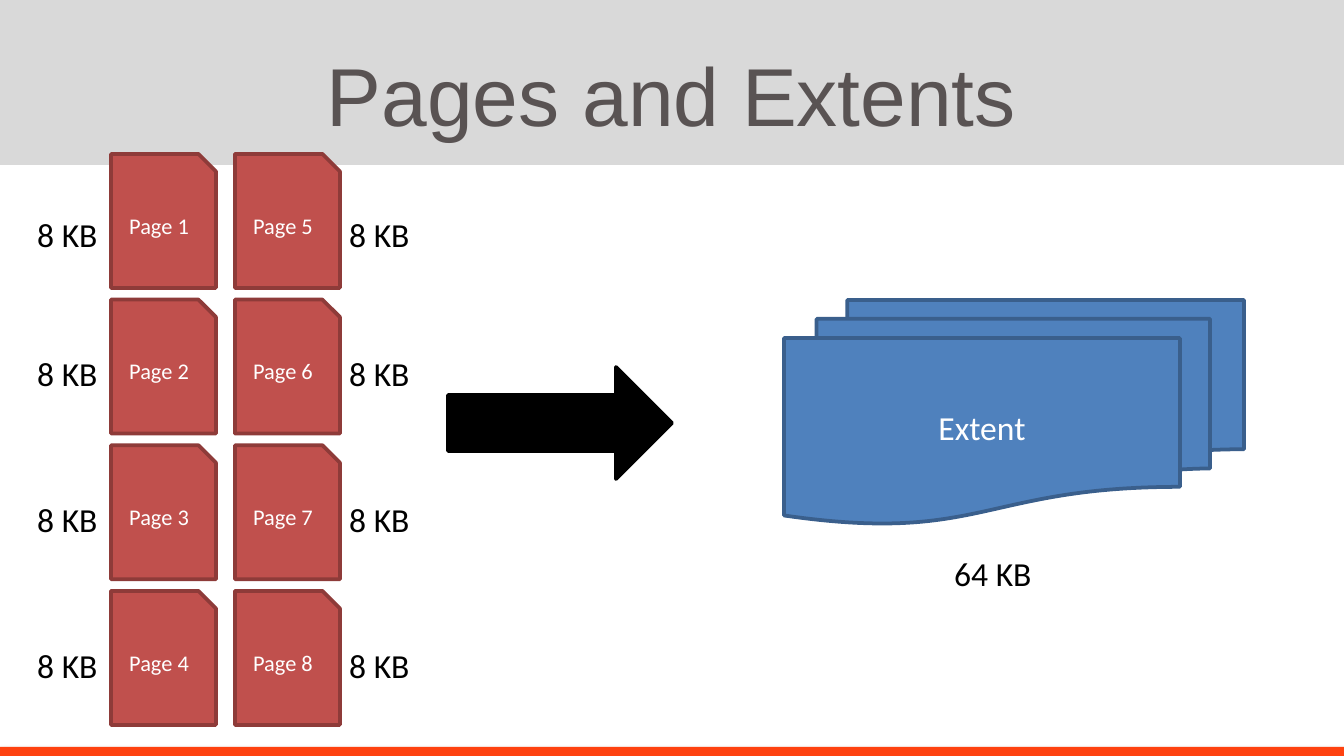
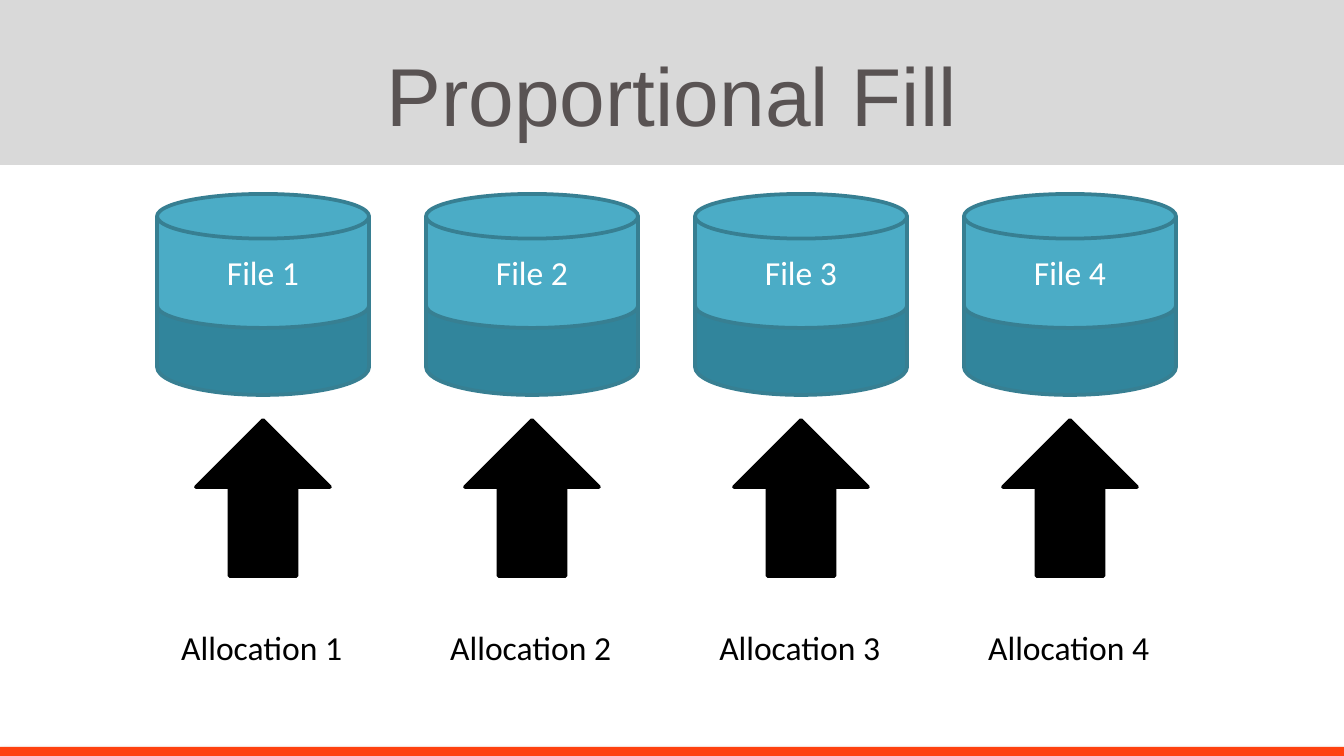
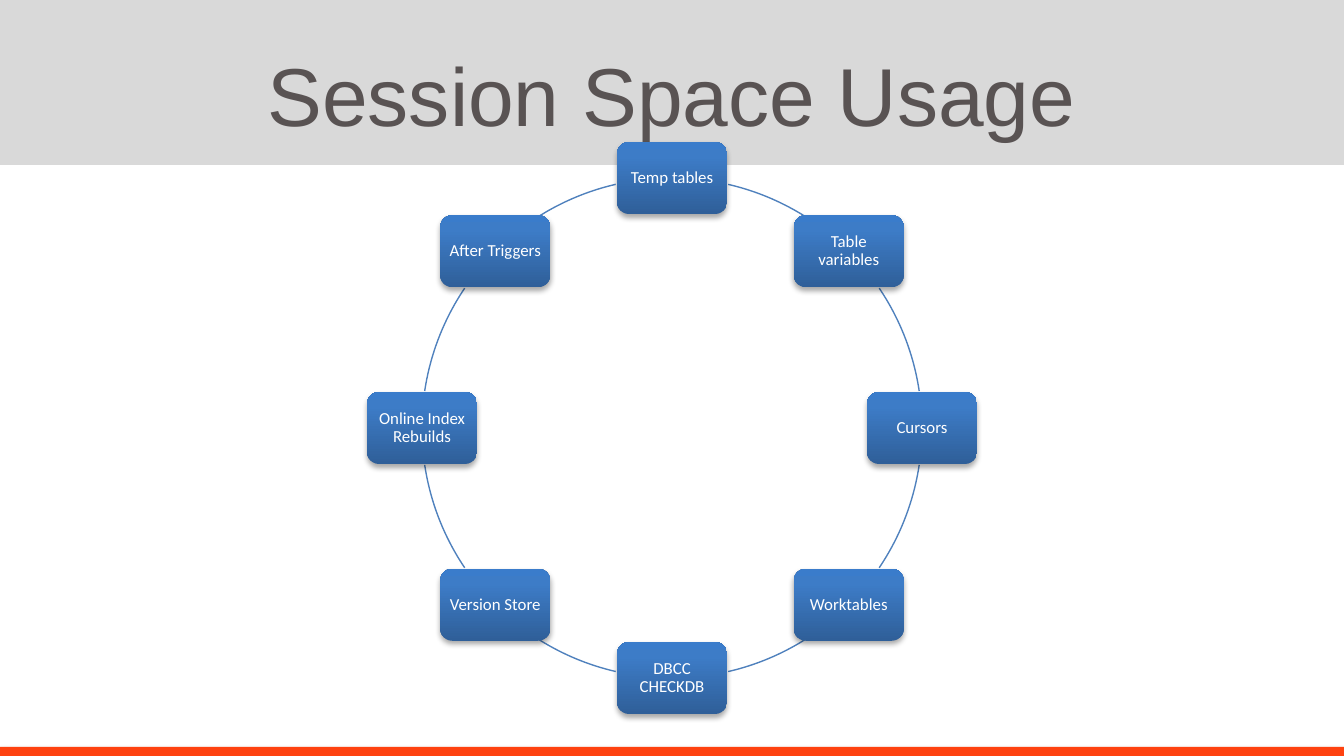
from dataclasses import dataclass
from math import cos, radians, sin

from lxml import etree
from pptx import Presentation
from pptx.dml.color import RGBColor
from pptx.enum.shapes import MSO_SHAPE
from pptx.enum.text import MSO_ANCHOR, MSO_AUTO_SIZE, PP_ALIGN
from pptx.oxml.ns import qn
from pptx.util import Pt

RECT = MSO_SHAPE.RECTANGLE
SNIP = MSO_SHAPE.SNIP_1_RECTANGLE
STACK = MSO_SHAPE.FLOWCHART_MULTIDOCUMENT
ARROW = MSO_SHAPE.RIGHT_ARROW
DISK = MSO_SHAPE.FLOWCHART_MAGNETIC_DISK
ROUND = MSO_SHAPE.ROUNDED_RECTANGLE
ARC = MSO_SHAPE.ARC
LEFT, CENTER = PP_ALIGN.LEFT, PP_ALIGN.CENTER
TOP, MIDDLE = MSO_ANCHOR.TOP, MSO_ANCHOR.MIDDLE
GROW = MSO_AUTO_SIZE.SHAPE_TO_FIT_TEXT
SCALE = 914400 / 134.4
WIDE, HIGH = 1344, 756


@dataclass(frozen=True)
class Theme:
    head: str = "Arial"
    body: str = "Calibri"
    title: int = 44
    large: int = 18
    small: int = 12
    tiny: int = 9
    ink: str = "000000"
    white: str = "FFFFFF"
    gray: str = "595353"
    band: str = "D9D9D9"
    bar: str = "FE4210"
    red: str = "C0504D"
    brick: str = "8E3B39"
    blue: str = "4F81BD"
    navy: str = "3A5F8C"
    teal: str = "4BACC6"
    deep: str = "31859C"
    edge: str = "377F92"
    blend: tuple = ((0, "2F5F99"), (80, "3D7CC7"), (100, "3A7CCB"))


LOOK = Theme()


def emu(*sizes):
    return [round(size * SCALE) for size in sizes]


def rgb(code):
    return RGBColor.from_string(code)


def text(shape, words, size=LOOK.large, font=LOOK.body, color=LOOK.white,
         align=CENTER, anchor=MIDDLE, wrap=True, inset=None, space=None):
    frame = shape.text_frame
    frame.word_wrap = wrap
    frame.vertical_anchor = anchor
    if inset is not None:
        edge = emu(inset)[0]
        frame.margin_left = frame.margin_right = edge
        frame.margin_top = frame.margin_bottom = edge
    line = frame.paragraphs[0]
    line.text = words
    line.alignment = align
    line.line_spacing = space
    line.font.size = Pt(size)
    line.font.name = font
    line.font.color.rgb = rgb(color)


def draw(slide, kind, box, fill=None, line=None, width=2):
    shape = slide.shapes.add_shape(kind, *emu(*box))
    shape.shadow.inherit = False
    if fill:
        shape.fill.solid()
        shape.fill.fore_color.rgb = rgb(fill)
    else:
        shape.fill.background()
    if line:
        shape.line.color.rgb = rgb(line)
        shape.line.width = Pt(width)
    else:
        shape.line.fill.background()
    return shape


def label(slide, words, box):
    note = slide.shapes.add_textbox(*emu(*box))
    text(note, words, color=LOOK.ink, align=LEFT, anchor=TOP, wrap=False)
    note.text_frame.auto_size = GROW


def tint(parent, code):
    return etree.SubElement(parent, qn("a:srgbClr"), val=code)


def shade(shape):
    effects = shape.element.spPr.find(qn("a:effectLst"))
    outer = etree.SubElement(effects, qn("a:outerShdw"), blurRad="40000",
                             dist="23000", dir="5400000", rotWithShape="0")
    etree.SubElement(tint(outer, LOOK.ink), qn("a:alpha"), val="35000")


def blend(shape):
    shape.fill.gradient()
    shape.fill.gradient_angle = 90
    stops = shape.element.spPr.find(f".//{qn('a:gsLst')}")
    for stop in list(stops):
        stops.remove(stop)
    for part, code in LOOK.blend:
        tint(etree.SubElement(stops, qn("a:gs"), pos=str(part * 1000)), code)


def base(deck, title):
    slide = deck.slides.add_slide(deck.slide_layouts[6])
    shade(draw(slide, RECT, (0, 747, WIDE, 9), LOOK.bar))
    draw(slide, RECT, (0, 0, WIDE, 165), LOOK.band)
    head = slide.shapes.add_textbox(*emu(67, 31, 1210, 126))
    text(head, title, size=LOOK.title, font=LOOK.head, color=LOOK.gray)
    return slide


def pages(slide, box):
    left, top, width, height = box
    wide, high, rows = 105, 134, 4
    step = (height - high) / (rows - 1)
    for col, shift in enumerate((-87, 101)):
        x = left + col * (width - wide)
        for row, drop in enumerate((53, 47, 47, 47)):
            y = top + row * step
            page = draw(slide, SNIP, (x, y, wide, high), LOOK.red, LOOK.brick)
            text(page, f"Page {col * rows + row + 1}", size=LOOK.small)
            label(slide, "8 KB", (x + shift, y + drop, 89, 54))


def extent(slide, box):
    left, top, width, height = box
    stack = draw(slide, STACK, box, LOOK.blue, LOOK.navy)
    text(stack, "Extent")
    label(slide, "64 KB", (left + 157, top + height + 22, 105, 54))


def file(slide, box, number):
    left, top, width, height = box
    draw(slide, DISK, (left, top + 33, width, 168), LOOK.deep, LOOK.edge)
    disk = draw(slide, DISK, (left, top, width, 134), LOOK.teal, LOOK.edge)
    text(disk, f"File {number}")
    arrow = draw(slide, ARROW, (left + 28, top + 237, 156, 134),
                 LOOK.ink, LOOK.ink)
    arrow.rotation = 270
    label(slide, f"Allocation {number}",
          (left + 11, top + height - 54, 190, 54))


def ring(slide, box, names):
    left, top, width, height = box
    radius = width / 2
    wide, high = 110, 72
    for turn in (0, 180):
        for start, end in ((13, 32), (56, 81.5), (98.5, 124), (148, 167)):
            arc = draw(slide, ARC, box, line=LOOK.blue, width=0.75)
            for spot, angle in enumerate((start, end)):
                arc.adjustments[spot] = (angle + turn - 90) % 360 * 0.6
    for spot, name in enumerate(names):
        angle = radians(360 / len(names) * spot)
        x = left + radius + radius * sin(angle) - wide / 2
        y = top + radius - radius * cos(angle) - high / 2
        node = draw(slide, ROUND, (x, y, wide, high))
        blend(node)
        shade(node)
        text(node, name, size=LOOK.tiny, inset=4, space=0.9)


def main():
    deck = Presentation()
    deck.slide_width, deck.slide_height = emu(WIDE, HIGH)

    slide = base(deck, "Pages and Extents")
    pages(slide, (111, 154, 229, 571))
    extent(slide, (784, 300, 460, 224))
    draw(slide, ARROW, (448, 367, 224, 112), LOOK.ink, LOOK.ink)

    slide = base(deck, "Proportional Fill")
    for col in range(4):
        file(slide, (157 + col * 269, 194, 212, 480), col + 1)

    slide = base(deck, "Session Space Usage")
    ring(slide, (422, 178, 500, 500),
         ("Temp tables", "Table variables", "Cursors", "Worktables",
          "DBCC CHECKDB", "Version Store", "Online Index Rebuilds",
          "After Triggers"))

    deck.save("out.pptx")


if __name__ == "__main__":
    main()
